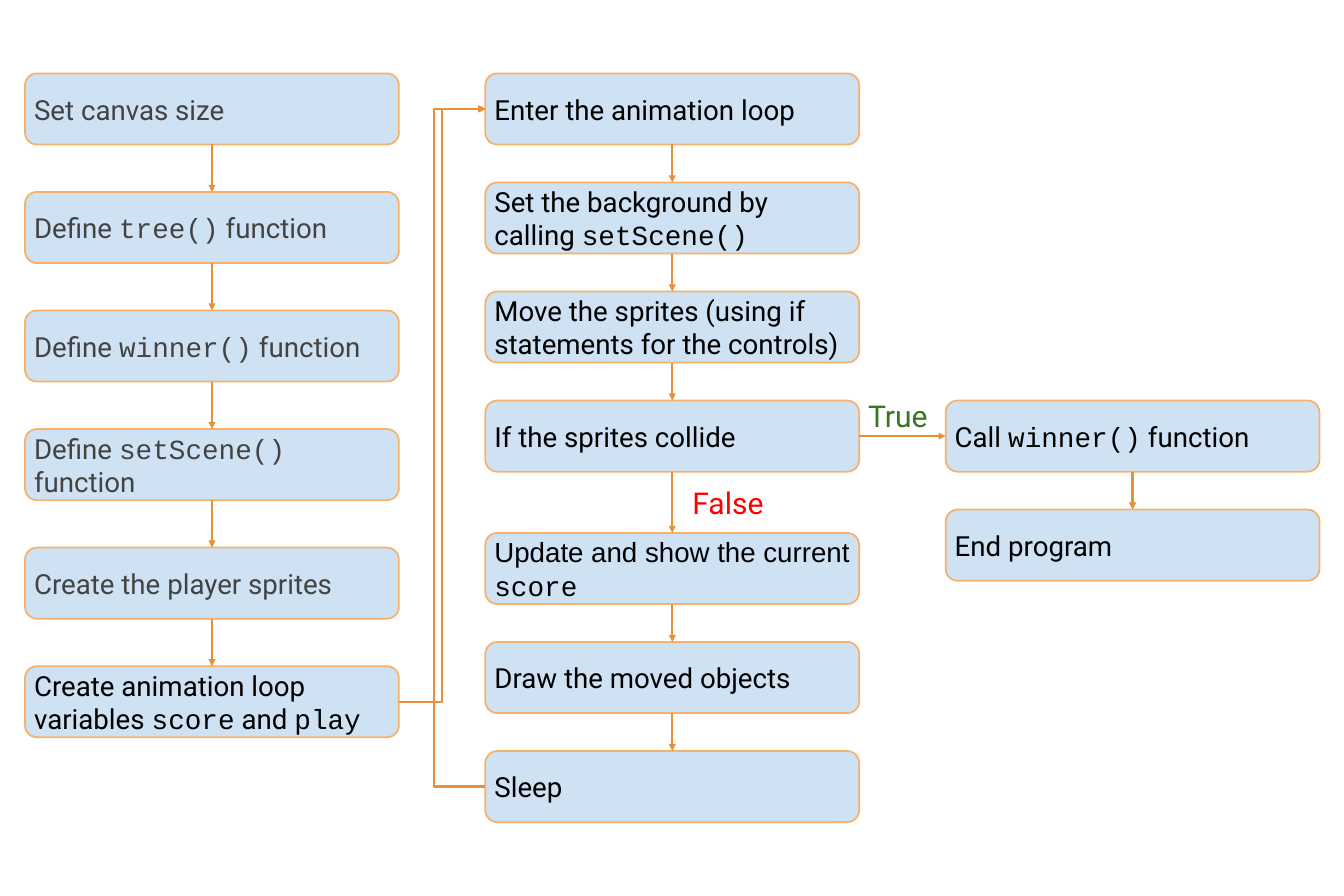
from itertools import pairwise

from lxml.etree import SubElement
from pptx import Presentation
from pptx.dml.color import RGBColor
from pptx.enum.shapes import MSO_CONNECTOR, MSO_SHAPE
from pptx.enum.text import MSO_ANCHOR, MSO_AUTO_SIZE, PP_ALIGN
from pptx.oxml.ns import qn
from pptx.util import Inches, Pt

BLACK, GREY = "000000", "434343"
TOP, LEFT, BOTTOM, RIGHT = range(4)  # connection sites of a box

BOX_W, BOX_H = 6.57, 1.25
X0, Y0 = 0.44, 1.29
COLUMN_STEP = 8.09
SETUP_STEP, LOOP_STEP = 2.084, 1.917
FALSE_GAP = 0.41  # extra room for the "False" label

# Text between backticks is set in the code font
SETUP = [
    "Set canvas size",
    "Define `tree()` function",
    "Define `winner()` function",
    "Define `setScene()` function",
    "Create the player sprites",
    "Create animation loop variables `score` and `play`",
]
LOOP = [
    "Enter the animation loop",
    "Set the background by calling `setScene()`",
    "Move the sprites (using if statements for the controls)",
    "If the sprites collide",
    "Update and show the current `score`",
    "Draw the moved objects",
    "Sleep",
]
FINISH = ["Call `winner()` function", "End program"]
DECISION = 3  # row of the collision test


def rgb(value):
    return RGBColor.from_string(value)


def write(tf, text, size=35, font="Roboto", color=BLACK, align=PP_ALIGN.LEFT):
    """Fill a text frame, switching to the code font between backticks."""
    tf.word_wrap = True
    tf.margin_left = tf.margin_right = Inches(0.1)
    tf.margin_top = tf.margin_bottom = Inches(0.1)
    p = tf.paragraphs[0]
    p.alignment = align
    for i, part in enumerate(text.split("`")):
        if part:
            r = p.add_run()
            r.text = part
            r.font.size = Pt(size)
            r.font.name = "Courier New" if i % 2 else font
            r.font.color.rgb = rgb(color)


class Flowchart:
    fill, border, arrow_color = "CFE2F3", "F6B26B", "E69138"

    def __init__(self, slide):
        self.shapes = slide.shapes

    def box(self, column, y, text, **fmt):
        x = X0 + column * COLUMN_STEP
        sp = self.shapes.add_shape(MSO_SHAPE.ROUNDED_RECTANGLE, Inches(x), Inches(y),
                                   Inches(BOX_W), Inches(BOX_H))
        sp.shadow.inherit = False
        sp.fill.solid()
        sp.fill.fore_color.rgb = rgb(self.fill)
        sp.line.color.rgb = rgb(self.border)
        sp.line.width = Pt(2.25)
        sp.text_frame.vertical_anchor = MSO_ANCHOR.MIDDLE
        write(sp.text_frame, text, **fmt)
        return sp

    def label(self, x, y, text, **fmt):
        sp = self.shapes.add_textbox(Inches(x), Inches(y), Inches(2.72), Inches(0.84))
        write(sp.text_frame, text, size=38, **fmt)
        sp.text_frame.auto_size = MSO_AUTO_SIZE.SHAPE_TO_FIT_TEXT

    def arrow(self, start, end, sites=(BOTTOM, TOP), kind=MSO_CONNECTOR.STRAIGHT):
        c = self.shapes.add_connector(kind, 0, 0, 0, 0)
        c.begin_connect(start, sites[0])
        c.end_connect(end, sites[1])
        c.line.color.rgb = rgb(self.arrow_color)
        c.line.width = Pt(3)
        SubElement(c.line._get_or_add_ln(), qn("a:tailEnd"), type="triangle")
        SubElement(c._element.spPr, qn("a:effectLst"))
        return c

    def loop_back(self, start, end, reach):
        """Run out to the left of both boxes by the given reach."""
        c = self.arrow(start, end, (LEFT, LEFT), MSO_CONNECTOR.ELBOW)
        width = 0.01  # the bend is a multiple of the width, so it cannot be zero
        c.end_x += Inches(width)
        guides = c._element.spPr.prstGeom.get_or_add_avLst()
        SubElement(guides, qn("a:gd"), name="adj1",
                   fmla=f"val {round(-reach / width * 100000)}")


def main():
    prs = Presentation()
    prs.slide_width, prs.slide_height = Inches(23.62), Inches(15.75)
    s = prs.slides.add_slide(prs.slide_layouts[6])
    chart = Flowchart(s)

    # Setup column: the last step is new, so it is black
    setup = [chart.box(0, Y0 + i * SETUP_STEP, text,
                       color=BLACK if text == SETUP[-1] else GREY)
             for i, text in enumerate(SETUP)]

    # Animation loop column
    loop = [chart.box(1, Y0 + i * LOOP_STEP + (FALSE_GAP if i > DECISION else 0), text,
                      font="Arial" if text.startswith("Update") else "Roboto")
            for i, text in enumerate(LOOP)]

    # Finish column, level with the decision
    finish = [chart.box(2, Y0 + (DECISION + i) * LOOP_STEP, text)
              for i, text in enumerate(FINISH)]

    # Arrows down each column
    for column in (setup, loop, finish):
        for upper, lower in pairwise(column):
            chart.arrow(upper, lower)

    # Arrows between columns, and back to the start of the loop
    chart.arrow(setup[-1], loop[0], (RIGHT, LEFT), MSO_CONNECTOR.ELBOW)
    chart.arrow(loop[DECISION], finish[0], (RIGHT, LEFT))
    chart.loop_back(loop[-1], loop[0], reach=0.92)

    # Decision labels
    chart.label(12.07, 8.41, "False", color="FF0000")
    chart.label(14.42, 6.88, "True", color="38761D", align=PP_ALIGN.CENTER)

    prs.save("out.pptx")


if __name__ == "__main__":
    main()
